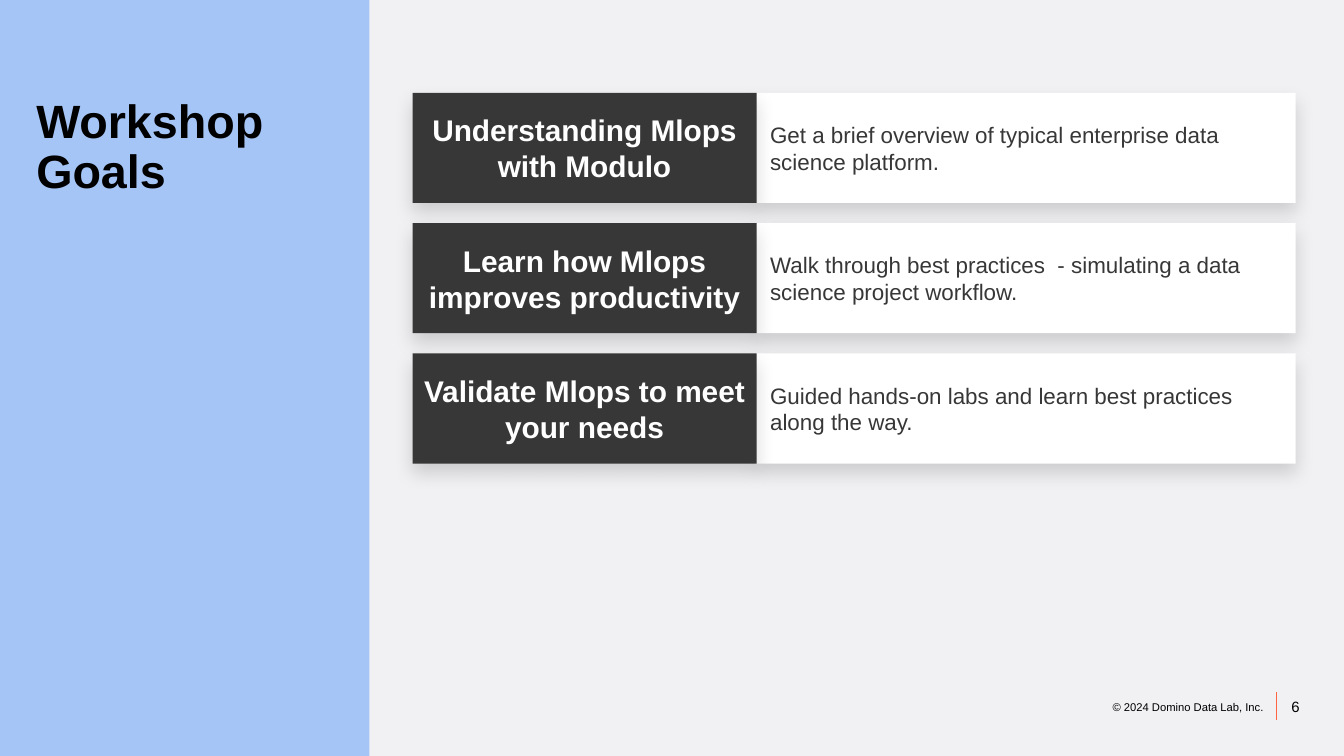
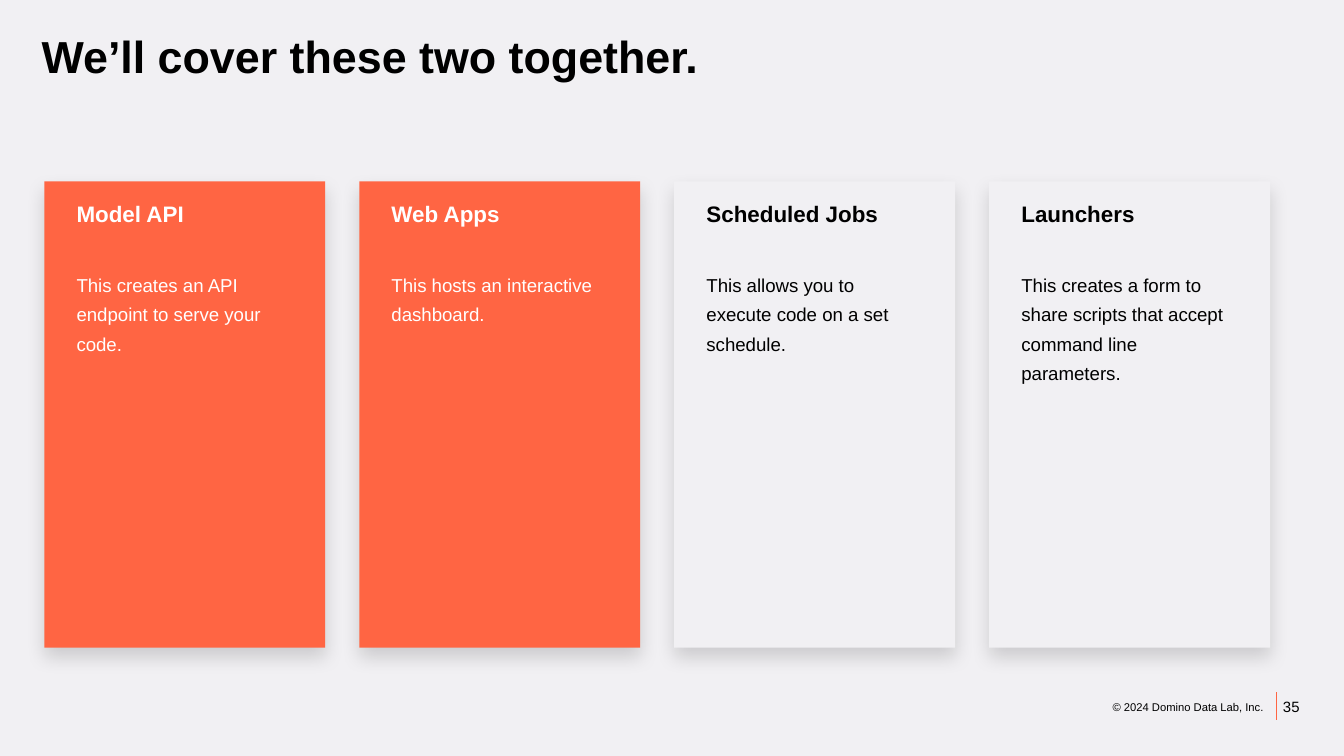
from lxml import etree
from pptx import Presentation
from pptx.dml.color import RGBColor
from pptx.enum.shapes import MSO_CONNECTOR, MSO_SHAPE
from pptx.enum.text import MSO_ANCHOR, PP_ALIGN
from pptx.oxml import parse_xml
from pptx.oxml.ns import nsdecls, qn
from pptx.util import Inches, Pt

RECT, STRAIGHT = MSO_SHAPE.RECTANGLE, MSO_CONNECTOR.STRAIGHT
LEFT, CENTER, RIGHT = PP_ALIGN.LEFT, PP_ALIGN.CENTER, PP_ALIGN.RIGHT
TOP, MIDDLE = MSO_ANCHOR.TOP, MSO_ANCHOR.MIDDLE

FONT = "Arial"
BLACK, WHITE, DARK = "000000", "FFFFFF", "373737"
PAPER, BLUE, ORANGE = "F1F0F3", "A5C5F6", "FF6543"
WIDTH = 10
HEIGHT = WIDTH * 9 / 16

COPYRIGHT = "© 2024 Domino Data Lab, Inc."
GOALS = [
    ("Understanding Mlops with Modulo",
     "Get a brief overview of typical enterprise data science platform."),
    ("Learn how Mlops improves productivity",
     "Walk through best practices  - simulating a data science project workflow."),
    ("Validate Mlops to meet your needs",
     "Guided hands-on labs and learn best practices along the way."),
]
TOPICS = [
    ("Model API", "This creates an API endpoint to serve your code.", True),
    ("Web Apps", "This hosts an interactive dashboard.", True),
    ("Scheduled Jobs", "This allows you to execute code on a set schedule.", False),
    ("Launchers",
     "This creates a form to share scripts that accept command line parameters.", False),
]


def rgb(color):
    return RGBColor.from_string(color)


def write(shape, text, size, color=BLACK, bold=False, align=LEFT, anchor=TOP,
          inset=(0.07, 0.04), spacing=None):
    tf = shape.text_frame
    tf.word_wrap = True
    tf.vertical_anchor = anchor
    tf.margin_left = tf.margin_right = Inches(inset[0])
    tf.margin_top = tf.margin_bottom = Inches(inset[1])
    p = tf.paragraphs[0]
    p.text = text
    p.alignment = align
    if spacing:
        p.line_spacing = spacing
    p.font.name, p.font.size, p.font.bold = FONT, Pt(size), bold
    p.font.color.rgb = rgb(color)


def add_text(s, box, text, size, **style):
    write(s.shapes.add_textbox(*map(Inches, box)), text, size, **style)


def add_rect(s, box, fill):
    sp = s.shapes.add_shape(RECT, *map(Inches, box))
    sp.shadow.inherit = False
    sp.fill.solid()
    sp.fill.fore_color.rgb = rgb(fill)
    sp.line.fill.background()
    return sp


def add_card(s, box, fill):
    sp = add_rect(s, box, fill)
    effects = sp._element.spPr.find(qn("a:effectLst"))
    effects.append(parse_xml(
        f'<a:outerShdw {nsdecls("a")} blurRad="{Pt(10)}" dist="{Pt(5)}" dir="5400000" '
        'algn="t" rotWithShape="0"><a:srgbClr val="000000"><a:alpha val="15000"/>'
        '</a:srgbClr></a:outerShdw>'))
    return sp


def add_title(s, box, text, size):
    add_text(s, box, text, size, bold=True, spacing=0.9)


def add_slide(prs, number):
    s = prs.slides.add_slide(prs.slide_layouts[6])
    s.background.fill.solid()
    s.background.fill.fore_color.rgb = rgb(PAPER)
    add_text(s, (7.68, 5.17, 1.79, 0.18), COPYRIGHT, 6, align=RIGHT)
    add_text(s, (9.1, 5.15, 0.64, 0.21), str(number), 8, align=RIGHT)
    rule = s.shapes.add_connector(STRAIGHT, *map(Inches, (9.5, 5.15, 9.5, 5.36)))
    rule.line.color.rgb = rgb(ORANGE)
    rule.line.width = Pt(0.75)
    etree.SubElement(rule._element.spPr, qn("a:effectLst"))
    return s


def build_goals(prs):
    s = add_slide(prs, 6)
    add_rect(s, (-0.01, -0.02, 2.76, 5.67), BLUE)
    add_title(s, (0.2, 0.69, 2.35, 0.99), "Workshop Goals", 25)
    left, split, top, label_w, detail_w, row_h, gap = 3.07, 5.62, 0.69, 2.56, 4.02, 0.82, 0.15
    for i, (goal, detail) in enumerate(GOALS):
        y = top + i * (row_h + gap)
        write(add_card(s, (split, y, detail_w, row_h), WHITE), detail, 12,
              color=DARK, anchor=MIDDLE, inset=(0.11, 0.02))
        write(add_card(s, (left, y, label_w, row_h), DARK), goal, 16, color=WHITE,
              bold=True, align=CENTER, anchor=MIDDLE, inset=(0.04, 0.02))


def build_topics(prs):
    s = add_slide(prs, 35)
    add_title(s, (0.24, 0.22, 6.47, 0.32), "We’ll cover these two together.", 24)
    left, right, top, card_w, card_h = 0.33, 9.45, 1.35, 2.09, 3.47
    pitch = (right - left - card_w) / (len(TOPICS) - 1)
    for i, (topic, detail, covered) in enumerate(TOPICS):
        x = left + i * pitch
        color = WHITE if covered else BLACK
        add_card(s, (x, top, card_w, card_h), ORANGE if covered else PAPER)
        add_text(s, (x + 0.18, 1.46, 1.64, 0.23), topic, 12, color=color, bold=True,
                 inset=(0.06, 0.03))
        add_text(s, (x + 0.18, 1.96, 1.64, 2.3), detail, 10, color=color,
                 inset=(0.06, 0.03), spacing=1.3)


def main():
    prs = Presentation()
    prs.slide_width, prs.slide_height = Inches(WIDTH), Inches(HEIGHT)
    build_goals(prs)
    build_topics(prs)
    prs.save("out.pptx")


if __name__ == "__main__":
    main()
